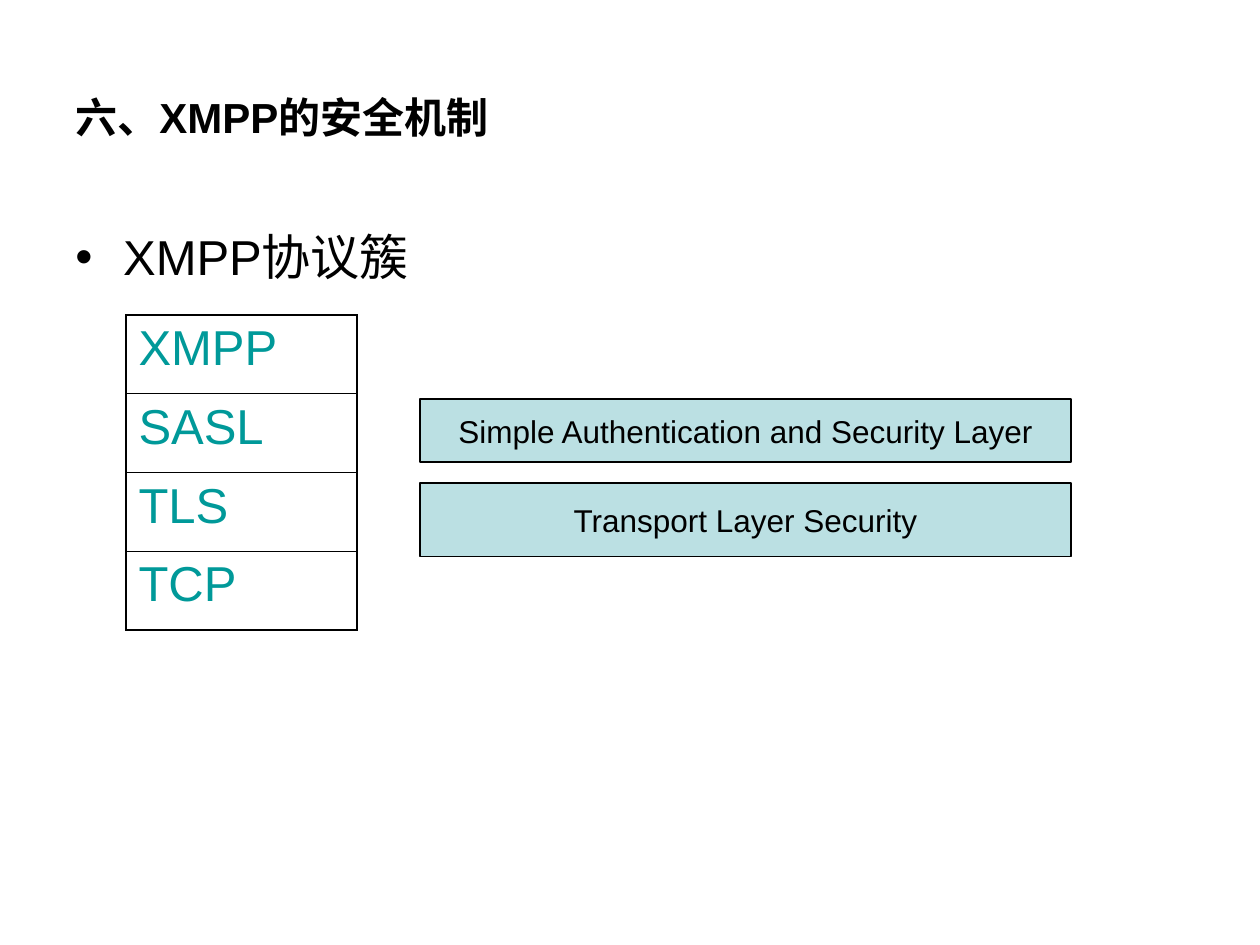
from pptx import Presentation
from pptx.dml.color import RGBColor
from pptx.enum.shapes import MSO_SHAPE
from pptx.enum.text import MSO_ANCHOR, PP_ALIGN
from pptx.oxml.ns import qn
from pptx.util import Inches, Pt
from lxml.etree import SubElement

COLORS = {"ink": "000000", "teal": "009999", "pale": "BBE0E3"}
UNIT = 1 / 6  # inches per grid step: 60 columns by 45 rows


def color(name):
    return RGBColor.from_string(COLORS[name])


class SlideBuilder:
    font = "Arial"

    def __init__(self, page):
        self.page = page

    def grid(self, *steps):
        return [Inches(step * UNIT) for step in steps]

    def set_text(self, frame, text, size, ink="ink", bold=False):
        frame.text = text
        for span in frame.paragraphs[0].runs:
            span.font.name = self.font
            span.font.size = Pt(size)
            span.font.bold = bold
            span.font.color.rgb = color(ink)

    def text(self, area, text, size, bold=False, anchor=MSO_ANCHOR.TOP, bullet=None):
        box = self.page.shapes.add_textbox(*self.grid(*area))
        frame = box.text_frame
        frame.word_wrap = True
        frame.vertical_anchor = anchor
        self.set_text(frame, text, size, bold=bold)
        if bullet:
            properties = frame.paragraphs[0]._p.get_or_add_pPr()
            indent = Inches(0.38)
            properties.set("marL", str(indent))
            properties.set("indent", str(-indent))
            SubElement(properties, qn("a:buFont"), typeface=self.font)
            SubElement(properties, qn("a:buChar"), char=bullet)

    def panel(self, area, text):
        box = self.page.shapes.add_shape(MSO_SHAPE.RECTANGLE, *self.grid(*area))
        box.shadow.inherit = False
        box.fill.solid()
        box.fill.fore_color.rgb = color("pale")
        box.line.color.rgb = color("ink")
        box.line.width = Pt(0.75)
        frame = box.text_frame
        frame.word_wrap = False
        frame.vertical_anchor = MSO_ANCHOR.MIDDLE
        self.set_text(frame, text, 18)
        frame.paragraphs[0].alignment = PP_ALIGN.CENTER

    def border(self, cell, side, width):
        line = SubElement(cell._tc.get_or_add_tcPr(), qn(f"a:ln{side}"), w=str(Pt(width)))
        fill = SubElement(line, qn("a:solidFill"))
        SubElement(fill, qn("a:srgbClr"), val=COLORS["ink"])

    def stack(self, area, labels, outer=1.08, inner=0.45):
        table = self.page.shapes.add_table(len(labels), 1, *self.grid(*area)).table
        table.first_row = table.horz_banding = False
        last = len(labels) - 1
        for row, label in enumerate(labels):
            cell = table.cell(row, 0)
            widths = {"L": outer, "R": outer,
                      "T": outer if row == 0 else inner,
                      "B": outer if row == last else inner}
            for side, width in widths.items():
                self.border(cell, side, width)
            cell.fill.background()
            self.set_text(cell.text_frame, label, 28, "teal")


def main():
    deck = Presentation()
    deck.slide_width, deck.slide_height = Inches(10), Inches(7.5)
    slide = SlideBuilder(deck.slides.add_slide(deck.slide_layouts[6]))

    # Heading and bullet
    slide.text((3, 1.8, 54, 7.5), "六、XMPP的安全机制", 24, bold=True, anchor=MSO_ANCHOR.MIDDLE)
    slide.text((3, 10.5, 26.5, 29.7), "XMPP协议簇", 28, bullet="•")

    # Protocol stack
    slide.stack((6, 15, 11, 15), ["XMPP", "SASL", "TLS", "TCP"])

    # Full names of the security layers
    slide.panel((20, 19, 31, 3), "Simple Authentication and Security Layer")
    slide.panel((20, 23, 31, 3.5), "Transport Layer Security")

    deck.save("out.pptx")


if __name__ == "__main__":
    main()
